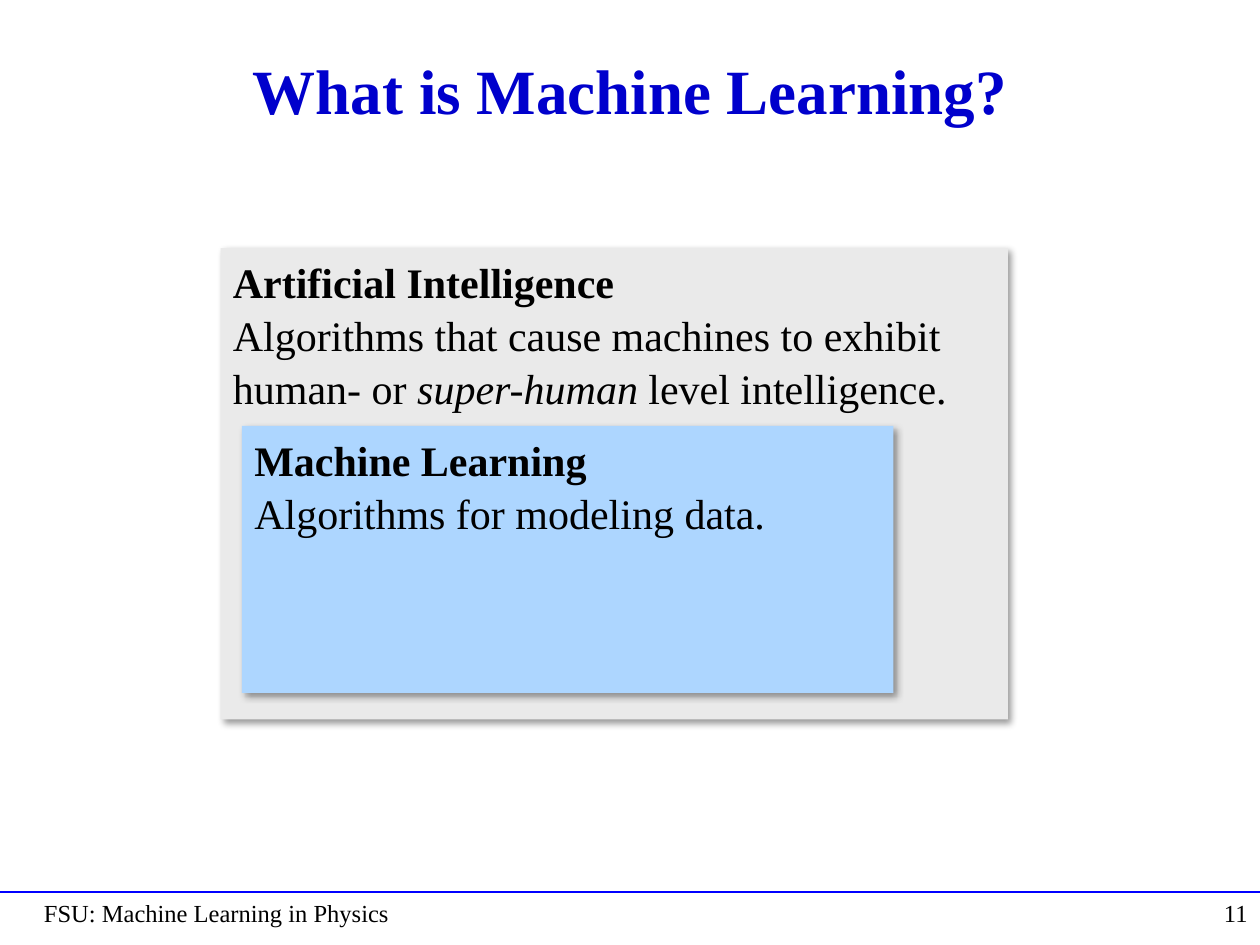
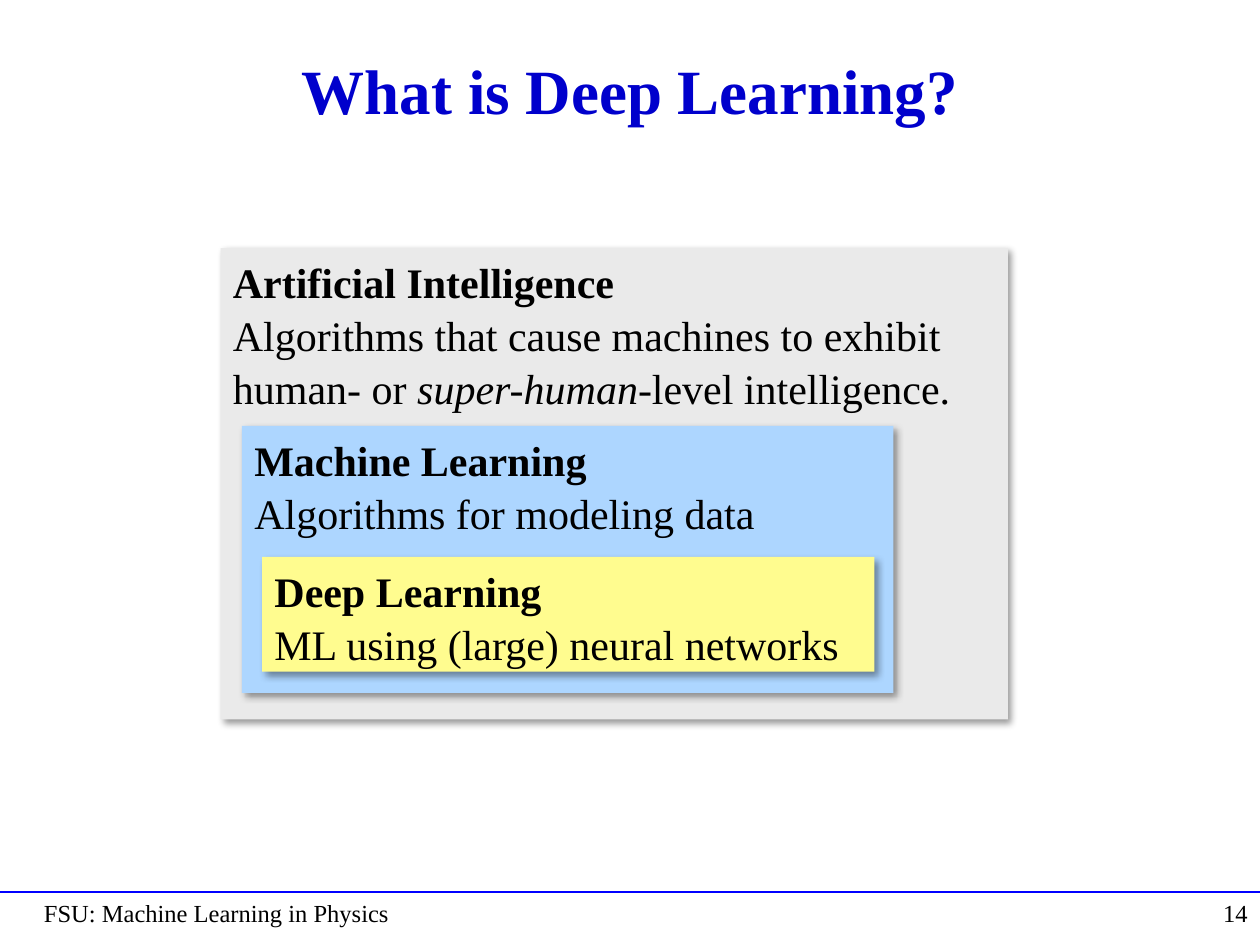
import pptx
import pptx.dml.color
import pptx.enum.shapes
import pptx.enum.text
import pptx.oxml
import pptx.oxml.ns
import pptx.util
from pptx.util import Inches

FONT = "Times New Roman"
FOOTER = "FSU: Machine Learning in Physics"
COLORS = {
    "title": "0000CC",
    "rule": "0000FF",
    "text": "000000",
    "artificial": "EAEAEA",
    "machine": "ADD6FF",
    "deep": "FFFC8F",
}
BOXES = {
    "artificial": (1.75, 1.97, 6.25, 3.74),
    "machine": (1.92, 3.38, 5.17, 2.12),
    "deep": (2.08, 4.42, 4.86, 0.91),
}
SHADOW = (
    f'<a:effectLst {pptx.oxml.ns.nsdecls("a")}>'
    '<a:outerShdw blurRad="50800" dist="38100" dir="2700000" algn="tl" rotWithShape="0">'
    '<a:srgbClr val="000000"><a:alpha val="40000"/></a:srgbClr>'
    '</a:outerShdw></a:effectLst>'
)
SLIDES = [
    ("What is Machine Learning?", 11, {
        "artificial": ("Artificial Intelligence", [
            ("Algorithms that cause machines to exhibit human- or ", False),
            ("super-human", True), (" level intelligence.", False)]),
        "machine": ("Machine Learning", [("Algorithms for modeling data.", False)]),
    }),
    ("What is Deep Learning?", 14, {
        "artificial": ("Artificial Intelligence", [
            ("Algorithms that cause machines to exhibit human- or ", False),
            ("super-human-", True), ("level intelligence.", False)]),
        "machine": ("Machine Learning", [("Algorithms for modeling data", False)]),
        "deep": ("Deep Learning", [("ML using (large) neural networks", False)]),
    }),
]


def rgb(name):
    """Return the named colour."""
    return pptx.dml.color.RGBColor.from_string(COLORS[name])


def add_run(paragraph, text, size=24, color="text", bold=False, italic=False):
    """Append formatted text to a paragraph."""
    run = paragraph.add_run()
    run.text = text
    run.font.name = FONT
    run.font.size = pptx.util.Pt(size)
    run.font.color.rgb = rgb(color)
    run.font.bold = bold
    run.font.italic = italic


def add_label(slide, box, text, align="LEFT", anchor="TOP", **text_format):
    """Add a one-paragraph text box."""
    frame = slide.shapes.add_textbox(*map(Inches, box)).text_frame
    frame.word_wrap = True
    frame.vertical_anchor = getattr(pptx.enum.text.MSO_ANCHOR, anchor)
    paragraph = frame.paragraphs[0]
    paragraph.alignment = getattr(pptx.enum.text.PP_ALIGN, align)
    add_run(paragraph, text, **text_format)


def add_footer(slide, box, number):
    """Draw the rule, course name and slide number in the bottom band."""
    left, top, width, height = box
    rule = slide.shapes.add_connector(
        pptx.enum.shapes.MSO_CONNECTOR.STRAIGHT,
        Inches(left), Inches(top), Inches(left + width), Inches(top))
    rule.line.color.rgb = rgb("rule")
    rule.line.width = pptx.util.Pt(1)
    rule._element.spPr.append(
        pptx.oxml.parse_xml(f'<a:effectLst {pptx.oxml.ns.nsdecls("a")}/>'))
    number_width = 0.92
    add_label(slide, (left + width - number_width, top, number_width, height),
              str(number), align="RIGHT", size=14)
    add_label(slide, (left + 0.25, top, 8.75, height), FOOTER, size=14)


def add_definition(slide, box, fill, term, meaning):
    """Draw a shadowed box with a bold term above its meaning."""
    shape = slide.shapes.add_shape(
        pptx.enum.shapes.MSO_SHAPE.RECTANGLE, *map(Inches, box))
    shape.fill.solid()
    shape.fill.fore_color.rgb = rgb(fill)
    shape.line.fill.background()
    shape._element.spPr.append(pptx.oxml.parse_xml(SHADOW))
    frame = shape.text_frame
    frame.word_wrap = True
    frame.vertical_anchor = pptx.enum.text.MSO_ANCHOR.TOP
    add_run(frame.paragraphs[0], term, bold=True)
    body = frame.add_paragraph()
    for text, italic in meaning:
        add_run(body, text, italic=italic)
    for paragraph in frame.paragraphs:
        paragraph.alignment = pptx.enum.text.PP_ALIGN.LEFT
        paragraph.line_spacing = 1.05


def add_definition_slide(presentation, title, number, definitions):
    """Add a titled slide of nested definitions."""
    slide = presentation.slides.add_slide(presentation.slide_layouts[6])
    add_label(slide, (0.75, 0.25, 8.5, 0.92), title, align="CENTER",
              anchor="MIDDLE", size=36, color="title", bold=True)
    add_footer(slide, (0, 7.08, 10, 0.42), number)
    for name, (term, meaning) in definitions.items():
        add_definition(slide, BOXES[name], name, term, meaning)


def main():
    """Build and save the presentation."""
    presentation = pptx.Presentation()
    presentation.slide_width = Inches(10)
    presentation.slide_height = Inches(7.5)
    for title, number, definitions in SLIDES:
        add_definition_slide(presentation, title, number, definitions)
    presentation.save("out.pptx")


if __name__ == "__main__":
    main()
